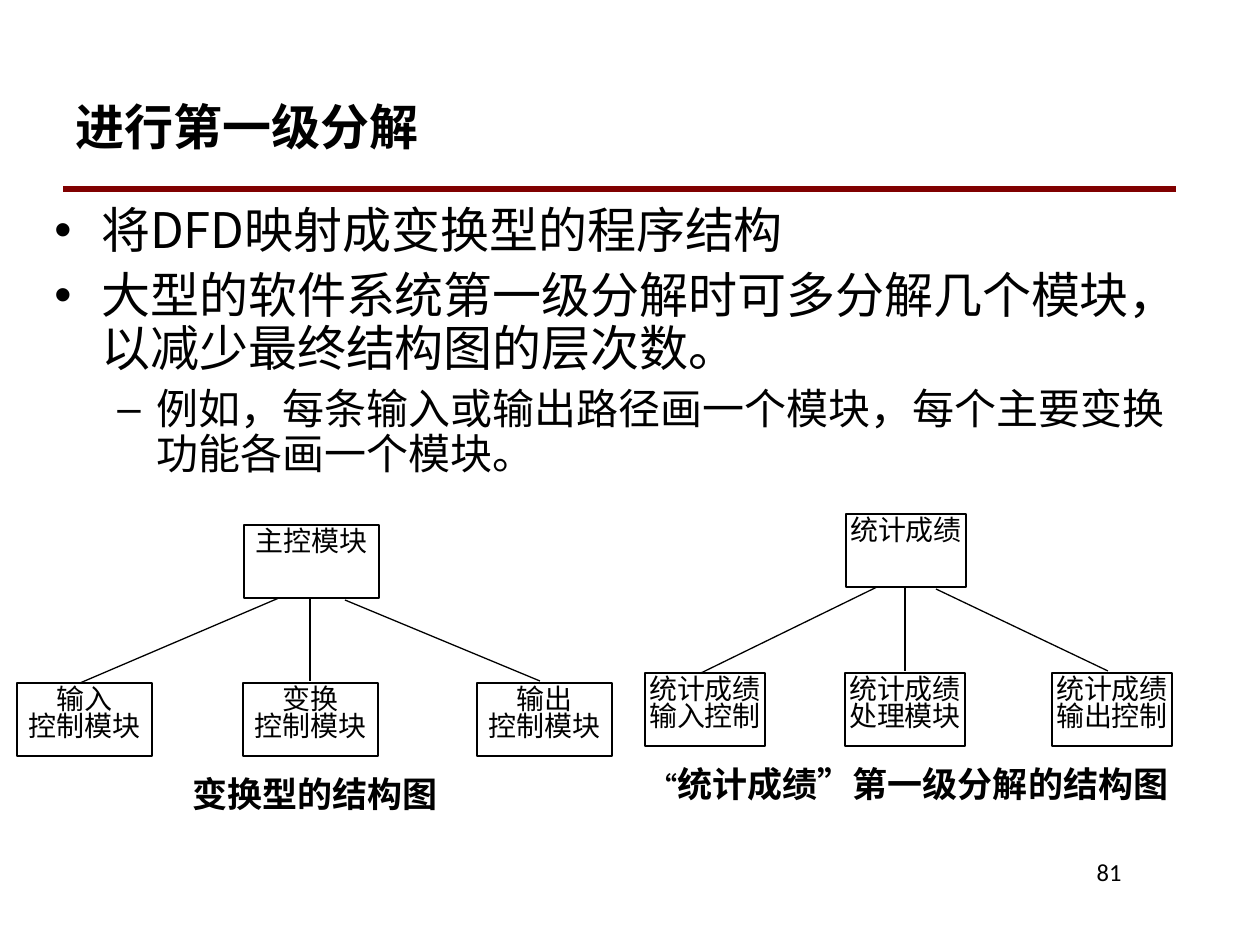
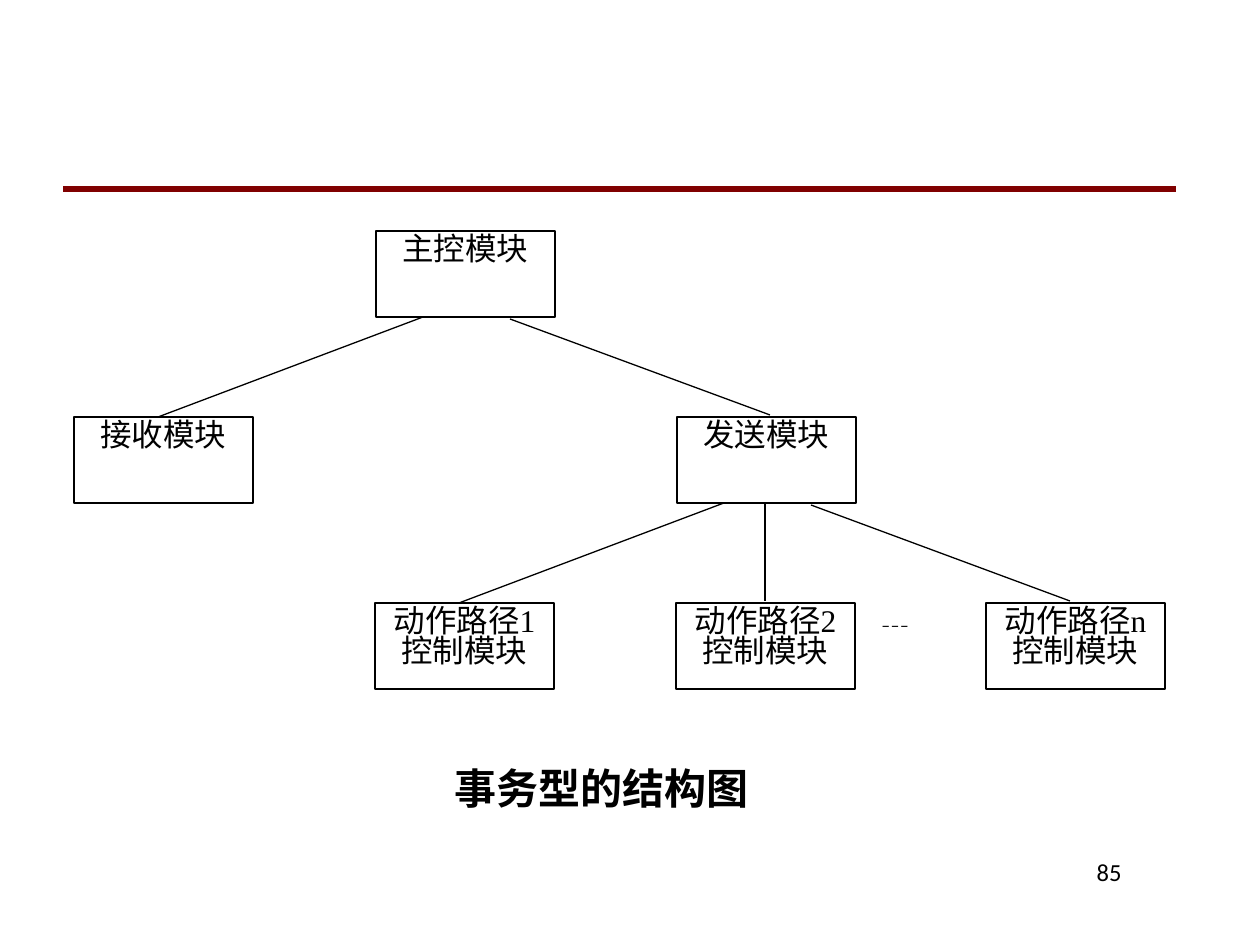
from lxml.etree import SubElement
from pptx import Presentation
from pptx.dml.color import RGBColor
from pptx.enum.shapes import MSO_CONNECTOR, MSO_SHAPE
from pptx.enum.text import MSO_ANCHOR, MSO_AUTO_SIZE, PP_ALIGN
from pptx.oxml.ns import qn
from pptx.util import Emu, Pt

BLACK, MAROON = "000000", "800000"
SANS, SERIF, CJK = "Calibri", "Times New Roman", "Noto Sans CJK SC"
CAPTION_FONT = "Comic Neue"
TITLE_ONLY, BLANK = 5, 6
RULE = (63, 189, 1176, 189, MAROON, 3)

# side: share of the parent's width, share of the child's width, shift of start, shift of end
LINK_ENDS = {
    "left": (0.26, 0.47, 0, 0),
    "middle": (0.49, 0.5, 0, -2),
    "right": (0.75, 0.47, 2, -2),
    "right of two": (0.75, 0.52, 2, -2),
}
THREE_CHILDREN = [(0, 1, "left"), (0, 2, "middle"), (0, 3, "right")]


def px(*lengths):
    """Turn lengths of 126 px to the inch into EMU."""
    return [Emu(round(length * 914400 / 126)) for length in lengths]


def write(frame, lines, size, font=SERIF, align=PP_ALIGN.CENTER, bold=False, spacing=0.8):
    """Fill a text frame with one paragraph per line, all in one style."""
    frame.word_wrap = True
    for number, line in enumerate(lines):
        paragraph = frame.paragraphs[0] if number == 0 else frame.add_paragraph()
        paragraph.text = line
        paragraph.alignment = align
        paragraph.line_spacing = spacing
        paragraph.font.size = Pt(size)
        paragraph.font.bold = bold
        paragraph.font.name = font
        paragraph.font.color.rgb = RGBColor.from_string(BLACK)
        defaults = paragraph._p.pPr.find(qn("a:defRPr"))
        SubElement(defaults, qn("a:ea"), typeface=CJK)


presentation = Presentation()
presentation.slide_width, presentation.slide_height = px(1260, 945)
first_level = presentation.slides.add_slide(presentation.slide_layouts[TITLE_ONLY])
transaction = presentation.slides.add_slide(presentation.slide_layouts[BLANK])

# Title
title = first_level.shapes.title
title.left, title.top, title.width, title.height = px(63, 63, 1113, 126)
title.text_frame.auto_size = MSO_AUTO_SIZE.NONE
title.text_frame.vertical_anchor = MSO_ANCHOR.MIDDLE
write(title.text_frame, ["进行第一级分解"], 28, SANS, PP_ALIGN.LEFT, True, 1.0)

# Bulleted text: level, size, bullet, left margin, hanging indent, space before, text
points = [
    (0, 28, "•", 47, 47, 0, "将DFD映射成变换型的程序结构"),
    (0, 28, "•", 47, 47, 7, "大型的软件系统第一级分解时可多分解几个模块，以减少最终结构图的层次数。"),
    (1, 24, "–", 102, 39, 6, "例如，每条输入或输出路径画一个模块，每个主要变换功能各画一个模块。"),
]
body = first_level.shapes.add_textbox(*px(42, 200, 1176, 305)).text_frame
write(body, [point[-1] for point in points], 28, CJK, PP_ALIGN.LEFT, spacing=0.9)
for paragraph, (level, size, bullet, margin, hanging, before, _) in zip(body.paragraphs, points):
    paragraph.level = level
    paragraph.space_before = Pt(before)
    paragraph.font.size = Pt(size)
    properties = paragraph._p.pPr
    left, indent = px(margin, -hanging)
    properties.set("marL", str(left))
    properties.set("indent", str(indent))
    defaults = properties.find(qn("a:defRPr"))
    defaults.addprevious(SubElement(properties, qn("a:buFont"), typeface="Arial"))
    defaults.addprevious(SubElement(properties, qn("a:buChar"), char=bullet))

# Structure charts: slide, box width, box height, text size, boxes, links
charts = [
    (first_level, 135, 73, 16, [
        (244, 525, ["主控模块"]),
        (17, 683, ["输入", "控制模块"]),
        (243, 683, ["变换", "控制模块"]),
        (477, 683, ["输出", "控制模块"]),
    ], THREE_CHILDREN),
    (first_level, 120, 73, 16, [
        (846, 514, ["统计成绩"]),
        (645, 673, ["统计成绩", "输入控制"]),
        (845, 673, ["统计成绩", "处理模块"]),
        (1052, 673, ["统计成绩", "输出控制"]),
    ], THREE_CHILDREN),
    (transaction, 179, 86, 18, [
        (677, 417, ["发送模块"]),
        (375, 603, ["动作路径1", "控制模块"]),
        (676, 603, ["动作路径2", "控制模块"]),
        (986, 603, ["动作路径n", "控制模块"]),
        (376, 231, ["主控模块"]),
        (74, 417, ["接收模块"]),
    ], THREE_CHILDREN + [(4, 5, "left"), (4, 0, "right of two")]),
]
lines = [(first_level, *RULE), (transaction, *RULE)]
for slide, width, height, size, boxes, links in charts:
    for x, y, text in boxes:
        box = slide.shapes.add_shape(MSO_SHAPE.RECTANGLE, *px(x, y, width, height))
        box.shadow.inherit = False
        box.fill.background()
        box.line.color.rgb = RGBColor.from_string(BLACK)
        box.line.width = Pt(0.75)
        frame = box.text_frame
        frame.vertical_anchor = MSO_ANCHOR.TOP
        frame.margin_left, frame.margin_right, frame.margin_top, frame.margin_bottom = px(3, 3, 5, 5)
        write(frame, text, size)
    for parent, child, side in links:
        parent_share, child_share, start_shift, end_shift = LINK_ENDS[side]
        parent_x, parent_y, _ = boxes[parent]
        child_x, child_y, _ = boxes[child]
        start_x = round(parent_x + parent_share * width)
        end_x = start_x if side == "middle" else round(child_x + child_share * width)
        lines.append((slide, start_x, parent_y + height + start_shift,
                      end_x, child_y + end_shift, BLACK, 0.75))

for slide, start_x, start_y, end_x, end_y, color, weight in lines:
    connector = slide.shapes.add_connector(
        MSO_CONNECTOR.STRAIGHT, *px(start_x, start_y, end_x, end_y))
    connector.line.color.rgb = RGBColor.from_string(color)
    connector.line.width = Pt(weight)
    SubElement(connector._element.spPr, qn("a:effectLst"))

# Captions, ellipsis and slide numbers
labels = [
    (first_level, (0, 774, 630, 65), "变换型的结构图", 20, SERIF, PP_ALIGN.CENTER, True, 0.8),
    (transaction, (869, 610, 98, 77), "┄", 16, CJK, PP_ALIGN.LEFT, False, 0.8),
    (transaction, (442, 756, 319, 63), "事务型的结构图", 24, CAPTION_FONT, PP_ALIGN.LEFT, True, 1.0),
    (first_level, (955, 851, 179, 63), "81", 14, SANS, PP_ALIGN.RIGHT, False, 1.0),
    (transaction, (955, 851, 179, 63), "85", 14, SANS, PP_ALIGN.RIGHT, False, 1.0),
]
for slide, place, text, *style in labels:
    write(slide.shapes.add_textbox(*px(*place)).text_frame, [text], *style)

score_caption = first_level.shapes.add_textbox(*px(630, 764, 558, 65)).text_frame
write(score_caption, ["“"], 20, bold=True)
quote = score_caption.paragraphs[0].runs[0]
quote.font.size = Pt(16)
score_caption.paragraphs[0].add_run().text = "统计成绩”第一级分解的结构图"

presentation.save("out.pptx")
